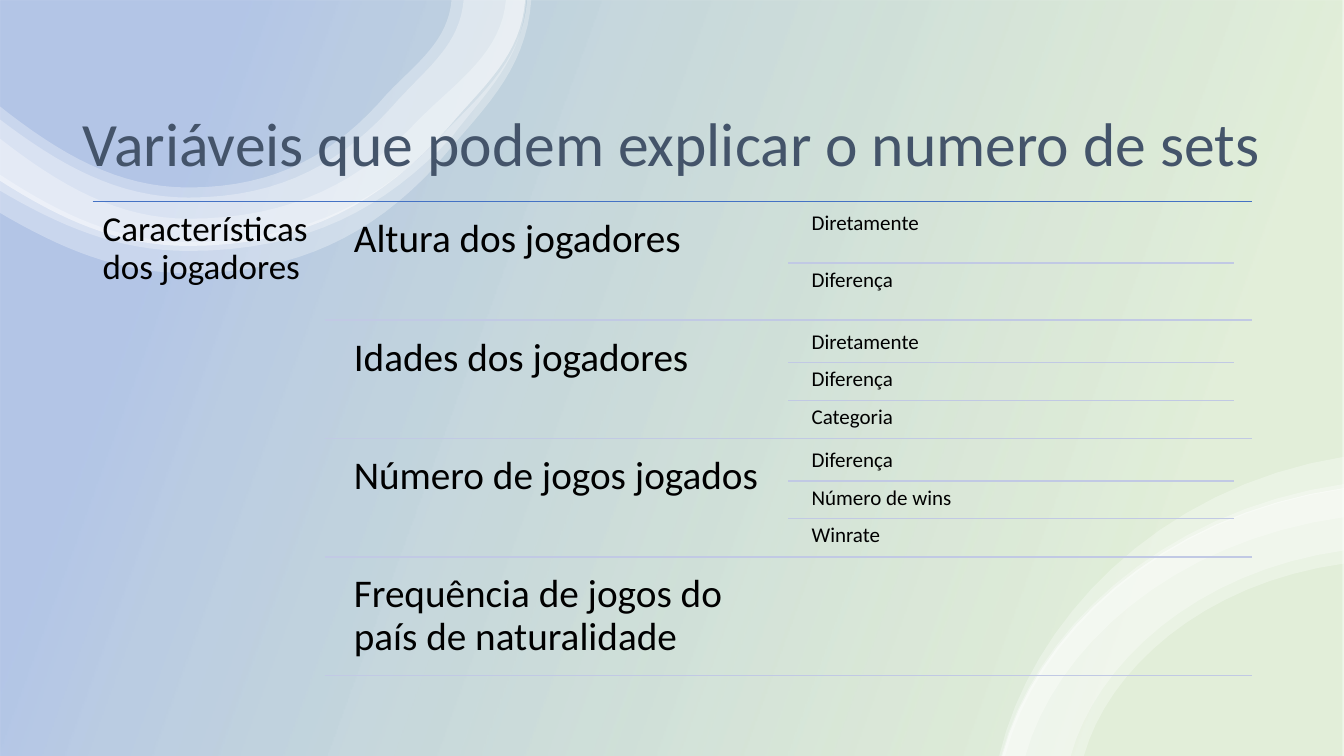
from lxml.etree import SubElement
from pptx import Presentation
from pptx.dml.color import RGBColor
from pptx.enum.shapes import MSO_CONNECTOR, MSO_SHAPE
from pptx.enum.text import MSO_ANCHOR, PP_ALIGN
from pptx.oxml.ns import qn
from pptx.util import Inches, Pt

COLORS = {
    "green": "70AD47",
    "blue": "4472C4",
    "white": "FFFFFF",
    "title": "44546A",
    "text": "000000",
    "divider": "C1C9E4",
}
rgb = {name: RGBColor.from_string(value) for name, value in COLORS.items()}

deck = Presentation()
deck.slide_width, deck.slide_height = Inches(13.33), Inches(7.5)
page = deck.slides.add_slide(deck.slide_layouts[6])
shapes = page.shapes


def add_text(words, left, top, width, height, size, inset, color="text",
             anchor=MSO_ANCHOR.TOP, align=PP_ALIGN.LEFT):
    box = shapes.add_textbox(*map(Inches, (left, top, width, height)))
    frame = box.text_frame
    frame_format = {"word_wrap": True, "vertical_anchor": anchor}
    for side in ("left", "top", "right", "bottom"):
        frame_format[f"margin_{side}"] = Inches(inset)
    for name, value in frame_format.items():
        setattr(frame, name, value)
    para = frame.paragraphs[0]
    para.alignment, para.line_spacing = align, 0.9
    span = para.add_run()
    span.text = words
    for name, value in {"name": "Calibri", "size": Pt(size)}.items():
        setattr(span.font, name, value)
    span.font.color.rgb = rgb[color]


def add_rule(left, right, top, color="divider"):
    rule = shapes.add_connector(
        MSO_CONNECTOR.STRAIGHT, *map(Inches, (left, top, right, top)))
    rule.line.color.rgb = rgb[color]
    rule.line.width = Pt(1)
    SubElement(rule._element.spPr, qn("a:effectLst"))


backdrop = shapes.add_shape(
    MSO_SHAPE.RECTANGLE, 0, 0, deck.slide_width, deck.slide_height)
backdrop.shadow.inherit = False
backdrop.line.fill.background()
backdrop.fill.gradient()
backdrop.fill.gradient_angle = 160
for stop, (color, position) in zip(
        backdrop.fill.gradient_stops, [("green", 0.16), ("blue", 0.85)]):
    stop.color.rgb, stop.position = rgb[color], position
tints = backdrop._element.spPr.find(qn("a:gradFill")).iter(qn("a:srgbClr"))
for tint, alpha in zip(tints, ("20000", "40000")):
    SubElement(tint, qn("a:alpha"), val=alpha)

wave_edges = []
for left_y, valley_y, bend_x, bend_y, top_x in [
        (1.72, 2.4, 4.25, 1.48, 5.23), (2.1, 2.71, 4.3, 1.67, 5.27),
        (1.36, 2.17, 4.16, 1.18, 5.02), (1.88, 2.49, 4.48, 1.36, 5.22),
        (1.17, 1.96, 3.95, 0.99, 4.6), (1.04, 1.86, 3.84, 0.93, 4.48),
        (1.78, 2.44, 4.45, 1.26, 5.21)]:
    valley_x = 1.87
    run, rise, reach = bend_x - valley_x, valley_y - bend_y, top_x - bend_x
    valley, bend = (valley_x, valley_y), (bend_x, bend_y)
    wave_edges.append([
        [(-0.02, left_y), (0.6, left_y + 0.6 * (valley_y - left_y)),
         (1.17, valley_y), valley],
        [valley, (valley_x + 0.45 * run, valley_y),
         (valley_x + 0.75 * run, bend_y + 0.62 * rise), bend],
        [bend, (bend_x + 0.46 * reach, 0.67 * bend_y),
         (top_x - 0.05 * reach, 0.44 * bend_y), (top_x, -0.01)]])

arc_edges = []
for bottom_x, right_y in [(9.91, 4.53), (9.97, 4.85), (10.75, 5.59), (9.94, 4.84),
                          (9.93, 4.8), (10.17, 5.13), (10.62, 5.46)]:
    width, height = 13.34 - bottom_x, 7.5 - right_y
    arc_edges.append([
        [(bottom_x, 7.5), (bottom_x + 0.09 * width, 7.5 - 0.44 * height),
         (bottom_x + 0.45 * width, right_y + 0.1 * height), (13.34, right_y)]])

ribbons = [(wave_edges[i], wave_edges[j]) for i, j in [(0, 1), (2, 3), (4, 6), (5, 6)]]
ribbons += [(arc_edges[i], arc_edges[j]) for i, j in [(0, 1), (2, 3), (4, 5), (6, 3)]]
steps = 16
for edges in ribbons:
    sides = []
    for edge in edges:
        sides.append([
            [Inches((1 - t) ** 3 * a + 3 * (1 - t) ** 2 * t * b
                    + 3 * (1 - t) * t ** 2 * c + t ** 3 * d)
             for a, b, c, d in zip(*curve)]
            for curve in edge for t in [step / steps for step in range(steps + 1)]])
    outline = sides[0] + sides[1][::-1]
    builder = shapes.build_freeform(*outline[0])
    builder.add_line_segments(outline[1:], close=True)
    ribbon = builder.convert_to_shape()
    ribbon.shadow.inherit = False
    ribbon.line.fill.background()
    ribbon.fill.solid()
    ribbon.fill.fore_color.rgb = rgb["white"]
    tint = ribbon._element.spPr.find(qn("a:solidFill")).find(qn("a:srgbClr"))
    SubElement(tint, qn("a:alpha"), val="30000")

add_text("Variáveis que podem explicar o numero de sets", 0, 0.04, 13.33, 2.82,
         44, 0.1, "title", MSO_ANCHOR.MIDDLE, PP_ALIGN.CENTER)

table_top, row_pitch, row_height = 2, 4.7 / 4, 1.12
add_rule(0.92, 12.42, table_top, "blue")
add_text("Características dos jogadores", 0.92, table_top, 2.3, 4.76, 25, 0.1)

variables = [
    ("Altura dos jogadores", ["Diretamente", "Diferença"]),
    ("Idades dos jogadores", ["Diretamente", "Diferença", "Categoria"]),
    ("Número de jogos jogados", ["Diferença", "Número de wins", "Winrate"]),
    ("Frequência de jogos do país de naturalidade", []),
]
for row, (variable, measures) in enumerate(variables):
    row_top = table_top + row * row_pitch + 0.05
    add_text(variable, 3.39, row_top, 4.43, row_height, 28, 0.12)
    for index, measure in enumerate(measures):
        height = row_height / len(measures)
        top = row_top + index * height
        add_text(measure, 7.99, top, 4.43, height, 15, 0.06)
        if index:
            add_rule(7.82, 12.24, top)
    add_rule(3.22, 12.42, table_top + (row + 1) * row_pitch)

deck.save("out.pptx")
